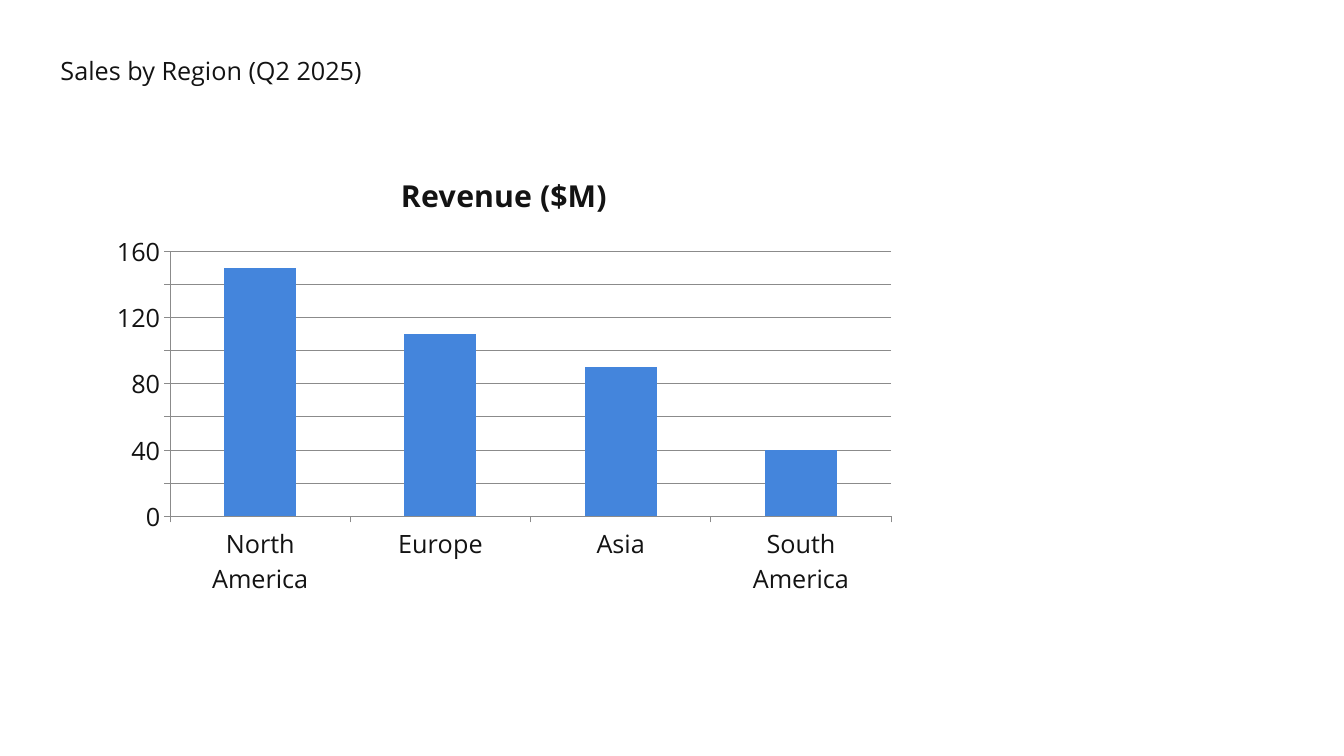
from dataclasses import dataclass

from pptx import Presentation
from pptx.chart import data
from pptx.dml.color import RGBColor
from pptx.enum import chart as ch, text
from pptx.util import Pt


@dataclass(frozen=True)
class Theme:
    font: str = "Open Sans"
    ink: RGBColor = RGBColor(0x13, 0x13, 0x13)
    bar: RGBColor = RGBColor(0x44, 0x85, 0xDC)
    rule: RGBColor = RGBColor(0x8B, 0x8B, 0x8B)
    body_size: float = 18
    chart_title_size: float = 21.6
    rule_width: float = 0.75


THEME = Theme()
REVENUE = {"North America": 150, "Europe": 110, "Asia": 90, "South America": 40}


def style_font(font, size, bold=False):
    font.name = THEME.font
    font.size = Pt(size)
    font.bold = bold
    font.color.rgb = THEME.ink


def style_rule(line):
    line.color.rgb = THEME.rule
    line.width = Pt(THEME.rule_width)


def add_heading(slide, wording, left, top, width, height):
    heading = slide.shapes.title
    heading.left, heading.top = Pt(left), Pt(top)
    heading.width, heading.height = Pt(width), Pt(height)
    frame = heading.text_frame
    frame.text = wording
    frame.word_wrap = True
    frame.auto_size = text.MSO_AUTO_SIZE.NONE
    frame.vertical_anchor = text.MSO_ANCHOR.TOP
    line = frame.paragraphs[0]
    line.alignment = text.PP_ALIGN.LEFT
    style_font(line.font, THEME.body_size)


def add_revenue_chart(slide, wording, left, top, width, height):
    figures = data.CategoryChartData()
    figures.categories = list(REVENUE)
    figures.add_series(wording, list(REVENUE.values()))
    revenue = slide.shapes.add_chart(
        ch.XL_CHART_TYPE.COLUMN_CLUSTERED,
        Pt(left), Pt(top), Pt(width), Pt(height), figures,
    ).chart
    style_font(revenue.font, THEME.body_size)
    revenue.has_legend = False
    revenue.has_title = True
    revenue.chart_title.include_in_layout = False
    caption = revenue.chart_title.text_frame
    caption.text = wording
    style_font(caption.paragraphs[0].font, THEME.chart_title_size, bold=True)

    bars = revenue.plots[0]
    bars.vary_by_categories = False
    bars.gap_width = 150
    fill = bars.series[0].format.fill
    fill.solid()
    fill.fore_color.rgb = THEME.bar

    for axis in (revenue.category_axis, revenue.value_axis):
        axis.major_tick_mark = ch.XL_TICK_MARK.OUTSIDE
        axis.minor_tick_mark = ch.XL_TICK_MARK.NONE
        style_rule(axis.format.line)
    amounts = revenue.value_axis
    amounts.minimum_scale, amounts.maximum_scale = 0, 160
    amounts.major_unit = 20
    amounts.has_major_gridlines = True
    style_rule(amounts.major_gridlines.format.line)


def build_sales_slide(deck):
    slide = deck.slides.add_slide(deck.slide_layouts[5])
    add_heading(slide, "Sales by Region (Q2 2025)", 36, 36, 648, 72)
    add_revenue_chart(slide, "Revenue ($M)", 72, 108, 576, 324)


def main():
    deck = Presentation()
    deck.slide_width, deck.slide_height = Pt(960), Pt(540)
    build_sales_slide(deck)
    deck.save("out.pptx")


if __name__ == "__main__":
    main()
